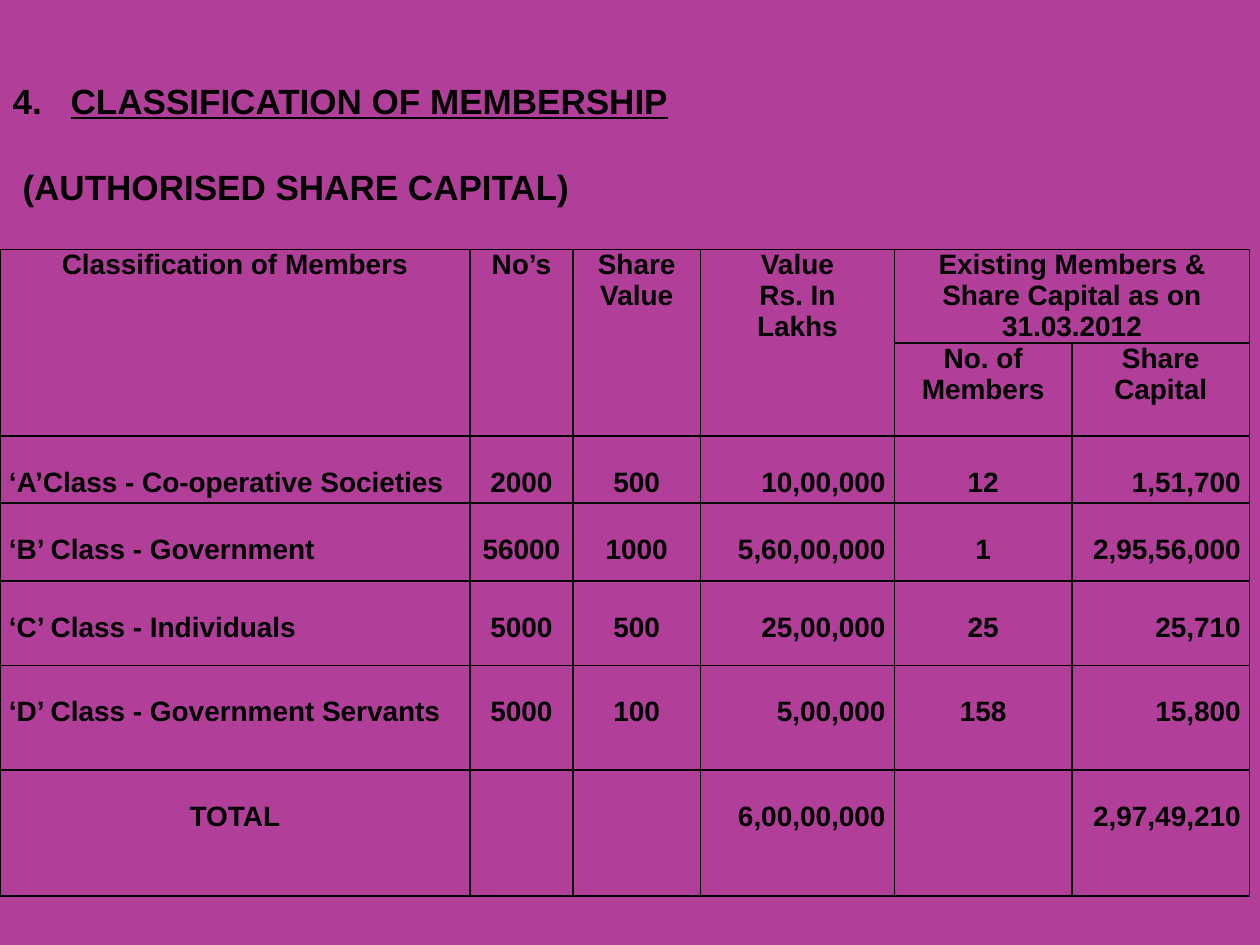
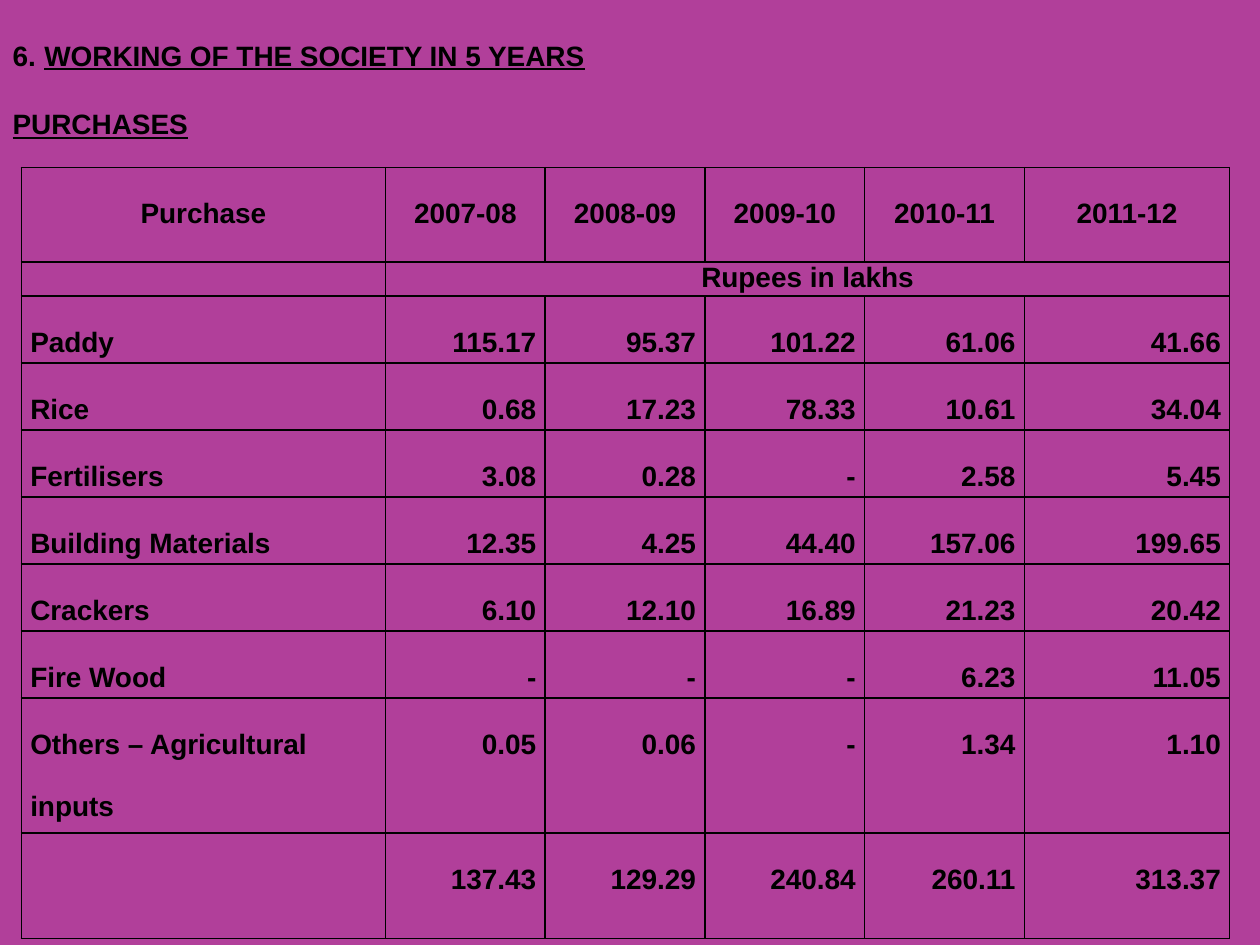
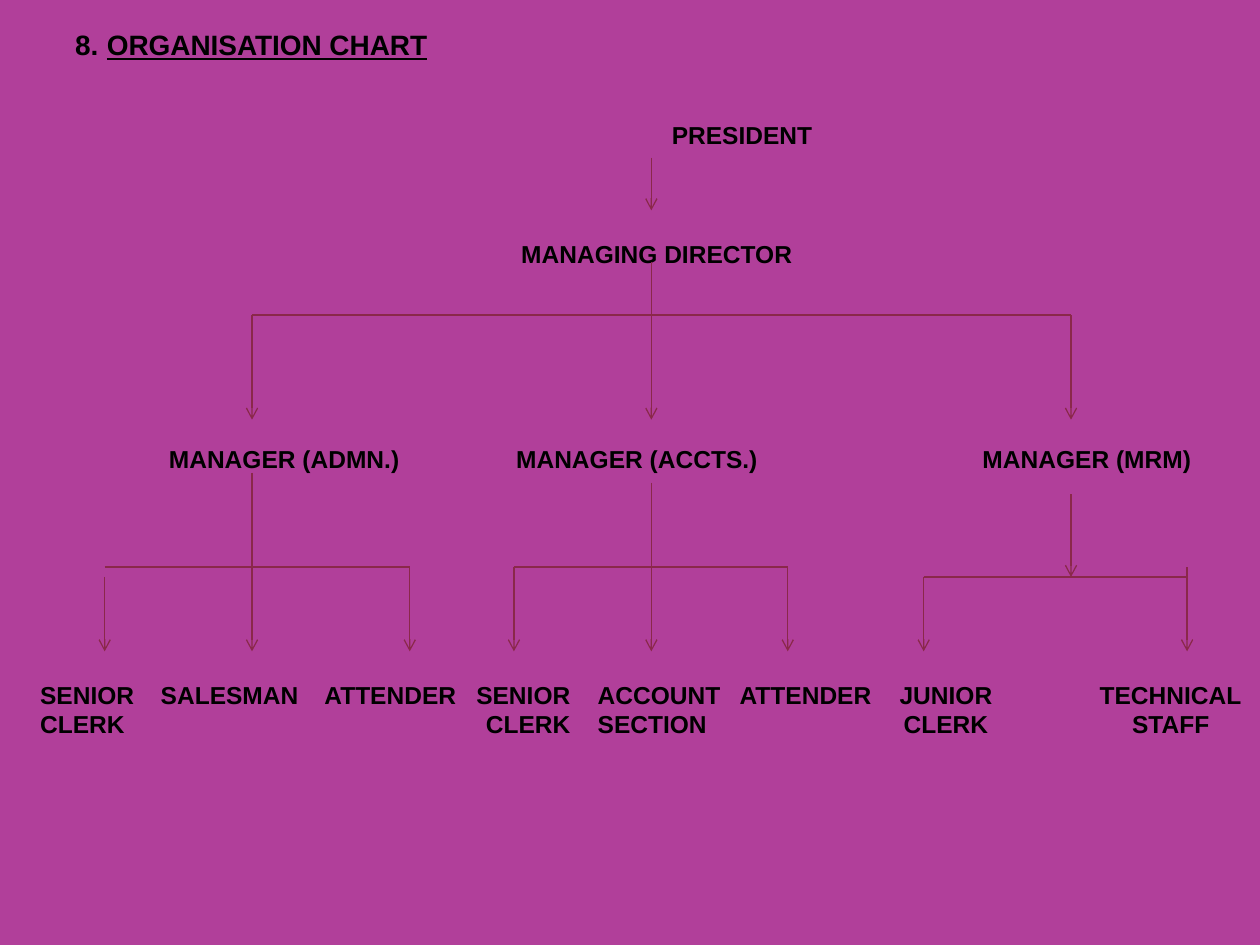
"""Builds three slides on a co-operative society: membership, purchases and organisation."""
from lxml import etree
from pptx import Presentation
from pptx import util as u
from pptx.dml.color import RGBColor
from pptx.enum import shapes, text
from pptx.oxml.ns import qn

COLOURS = {"background": "B13F9A", "ink": "000000", "arrow": "8A284A"}
FONT = "Arial"
ALIGN = {"l": text.PP_ALIGN.LEFT, "c": text.PP_ALIGN.CENTER, "r": text.PP_ALIGN.RIGHT}


def colour(name):
    return RGBColor.from_string(COLOURS[name])


class Deck:
    def __init__(self):
        self.prs = Presentation()
        self.prs.slide_width, self.prs.slide_height = u.Cm(25.4), u.Cm(19.05)
        fill = self.prs.slide_master.background.fill
        fill.solid()
        fill.fore_color.rgb = colour("background")
        self.slide = None

    def format(self, paragraph, size, align="l", underline=False):
        paragraph.alignment = ALIGN[align]
        for run in paragraph.runs:
            font = run.font
            font.name, font.size, font.bold = FONT, u.Pt(size), True
            font.underline = underline
            font.color.rgb = colour("ink")

    def titled_slide(self, number, heading, top, size=16, indent=0.64, hang=0.64,
                     subtitle=None, gap=20, sub_indent=0, sub_underline=False):
        self.slide = self.prs.slides.add_slide(self.prs.slide_layouts[5])
        title = self.slide.shapes.title
        title.left, title.top = u.Cm(0), u.Cm(top)
        title.width, title.height = u.Cm(25.4), u.Cm(3 if subtitle else 1)
        frame = title.text_frame
        frame.text = f"{heading}\n{subtitle}" if subtitle else heading
        frame.word_wrap = True
        frame.auto_size = text.MSO_AUTO_SIZE.NONE
        frame.vertical_anchor = text.MSO_ANCHOR.TOP
        first = frame.paragraphs[0]
        self.format(first, size, underline=True)
        props = first._p.get_or_add_pPr()
        props.set("marL", str(u.Cm(indent)))
        props.set("indent", str(-u.Cm(hang)))
        etree.SubElement(props, qn("a:buAutoNum"), type="arabicPeriod", startAt=str(number))
        for second in frame.paragraphs[1:]:
            self.format(second, size, underline=sub_underline)
            second.space_before = u.Pt(gap)
            second._p.get_or_add_pPr().set("marL", str(u.Cm(sub_indent)))

    def border(self, cell):
        props = cell._tc.get_or_add_tcPr()
        for side in ("lnL", "lnR", "lnT", "lnB"):
            line = etree.SubElement(props, qn(f"a:{side}"), w=str(u.Pt(1)))
            fill = etree.SubElement(line, qn("a:solidFill"))
            etree.SubElement(fill, qn("a:srgbClr"), val=COLOURS["ink"])

    def table(self, left, top, widths, heights, rows, aligns, headers, single_rows, merges):
        grid = self.slide.shapes.add_table(
            len(rows), len(widths), u.Cm(left), u.Cm(top),
            u.Cm(sum(widths)), u.Cm(sum(heights))).table
        grid.first_row = grid.horz_banding = False
        for column, width in zip(grid.columns, widths):
            column.width = u.Cm(width)
        for r, (row, height) in enumerate(zip(rows, heights)):
            grid.rows[r].height = u.Cm(height)
            for c, words in enumerate(row):
                cell = grid.cell(r, c)
                cell.text_frame.text = words
                cell.margin_left = cell.margin_right = u.Cm(0.18)
                cell.margin_top = cell.margin_bottom = 0
                self.border(cell)
                cell.fill.background()
                for paragraph in cell.text_frame.paragraphs:
                    self.format(paragraph, 16, "c" if r < headers else aligns[c])
                    paragraph.line_spacing = 1.0 if r in single_rows else 2.0
                    paragraph._p.get_or_add_endParaRPr().set("sz", "1600")
        for start, end in merges:
            grid.cell(*start).merge(grid.cell(*end))
        return grid

    def label(self, words, centre, top, width, align="c"):
        lines = words.count("\n") + 1
        box = self.slide.shapes.add_textbox(
            u.Cm(centre - width / 2), u.Cm(top), u.Cm(width), u.Cm(0.6 * lines))
        frame = box.text_frame
        frame.text = words
        frame.word_wrap = True
        frame.margin_left = frame.margin_right = frame.margin_top = frame.margin_bottom = 0
        for paragraph in frame.paragraphs:
            self.format(paragraph, 14, align)

    def line(self, x1, y1, x2, y2, arrow=False):
        connector = self.slide.shapes.add_connector(
            shapes.MSO_CONNECTOR.STRAIGHT, u.Cm(x1), u.Cm(y1), u.Cm(x2), u.Cm(y2))
        connector.line.color.rgb = colour("arrow")
        connector.line.width = u.Pt(0.75)
        props = connector._element.spPr
        if arrow:
            etree.SubElement(props.find(qn("a:ln")), qn("a:tailEnd"), type="arrow")
        etree.SubElement(props, qn("a:effectLst"))


def membership(deck):
    deck.titled_slide(4, "CLASSIFICATION OF MEMBERSHIP", 1.47, size=20, indent=1.17, hang=1.17,
                      subtitle="(AUTHORISED SHARE CAPITAL)", gap=25, sub_indent=0.2)
    rows = [
        ["Classification of Members", "No’s", "Share\nValue", "Value\nRs. In\nLakhs",
         "Existing Members & Share Capital as on 31.03.2012", ""],
        ["", "", "", "", "No. of Members", "Share\nCapital"],
        ["‘A’Class - Co-operative Societies", "2000", "500", "10,00,000", "12", "1,51,700"],
        ["‘B’ Class - Government", "56000", "1000", "5,60,00,000", "1", "2,95,56,000"],
        ["‘C’ Class - Individuals", "5000", "500", "25,00,000", "25", "25,710"],
        ["‘D’ Class - Government Servants", "5000", "100", "5,00,000", "158", "15,800"],
        ["TOTAL", "", "", "6,00,00,000", "", "2,97,49,210"],
    ]
    merges = [((0, c), (1, c)) for c in range(4)] + [((0, 4), (0, 5))]
    members = deck.table(0, 5.03, [9.47, 2.08, 2.57, 3.91, 3.58, 3.58],
                         [1.87, 1.87, 1.35, 1.57, 1.7, 2.11, 2.54],
                         rows, "lccrcr", 2, {0, 1}, merges)
    members.cell(6, 0).text_frame.paragraphs[0].alignment = ALIGN["c"]


def purchases(deck):
    deck.titled_slide(6, "WORKING OF THE SOCIETY IN 5 YEARS", 0.64,
                      subtitle="PURCHASES", sub_underline=True)
    rows = [
        ["Purchase", "2007-08", "2008-09", "2009-10", "2010-11", "2011-12"],
        ["", "Rupees in lakhs", "", "", "", ""],
        ["Paddy", "115.17", "95.37", "101.22", "61.06", "41.66"],
        ["Rice", "0.68", "17.23", "78.33", "10.61", "34.04"],
        ["Fertilisers", "3.08", "0.28", "-", "2.58", "5.45"],
        ["Building Materials", "12.35", "4.25", "44.40", "157.06", "199.65"],
        ["Crackers", "6.10", "12.10", "16.89", "21.23", "20.42"],
        ["Fire Wood", "-", "-", "-", "6.23", "11.05"],
        ["Others – Agricultural inputs", "0.05", "0.06", "-", "1.34", "1.10"],
        ["", "137.43", "129.29", "240.84", "260.11", "313.37"],
    ]
    deck.table(0.43, 3.38, [7.34] + [3.22] * 4 + [4.14],
               [1.9, 0.68] + [1.35] * 6 + [2.72, 2.13],
               rows, "lrrrrr", 2, {1}, [((1, 1), (1, 5))])


def organisation(deck):
    deck.titled_slide(8, "ORGANISATION CHART", 0.43, indent=1.9)
    deck.label("PRESIDENT", 14.96, 2.41, 4)
    deck.label("MANAGING DIRECTOR", 13.24, 4.82, 6)
    managers = [("ADMN.", 5.73), ("ACCTS.", 12.84), ("MRM", 21.91)]
    for department, centre in managers:
        deck.label(f"MANAGER ({department})", centre, 8.96, 5.2)
    staff = [
        ("SENIOR\nCLERK", 1.81, 2, "l"), ("SALESMAN", 4.63, 2.9, "c"),
        ("ATTENDER", 7.87, 2.8, "c"), ("SENIOR\nCLERK", 10.5, 2, "r"),
        ("ACCOUNT\nSECTION", 13.35, 2.6, "l"), ("ATTENDER", 16.24, 2.8, "c"),
        ("JUNIOR\nCLERK", 19.07, 2.2, "c"), ("TECHNICAL\nSTAFF", 23.6, 3, "c"),
    ]
    for post, centre, width, align in staff:
        deck.label(post, centre, 13.7, width, align)

    admin, accounts, mrm = 5.08, 13.13, 21.59
    manager_rail, manager_tip = 6.35, 8.46
    staff_rail, mrm_rail, staff_tip = 11.43, 11.63, 13.13
    rails = [(manager_rail, admin, mrm), (staff_rail, 2.11, 8.26),
             (staff_rail, 10.36, 15.88), (mrm_rail, 18.62, 23.93)]
    for y, left, right in rails:
        deck.line(left, y, right, y)
    drops = [(accounts, 3.18, 4.24), (accounts, 5.28, manager_tip),
             (admin, manager_rail, manager_tip), (mrm, manager_rail, manager_tip),
             (admin, 9.53, staff_tip), (accounts, 9.73, staff_tip), (mrm, 9.96, mrm_rail)]
    drops += [(x, mrm_rail, staff_tip) for x in (2.11, 18.62)]
    drops += [(x, staff_rail, staff_tip) for x in (8.26, 10.36, 15.88, 23.93)]
    for x, top, tip in drops:
        deck.line(x, top, x, tip, arrow=True)


def main():
    deck = Deck()
    membership(deck)
    purchases(deck)
    organisation(deck)
    deck.prs.save("out.pptx")


if __name__ == "__main__":
    main()
